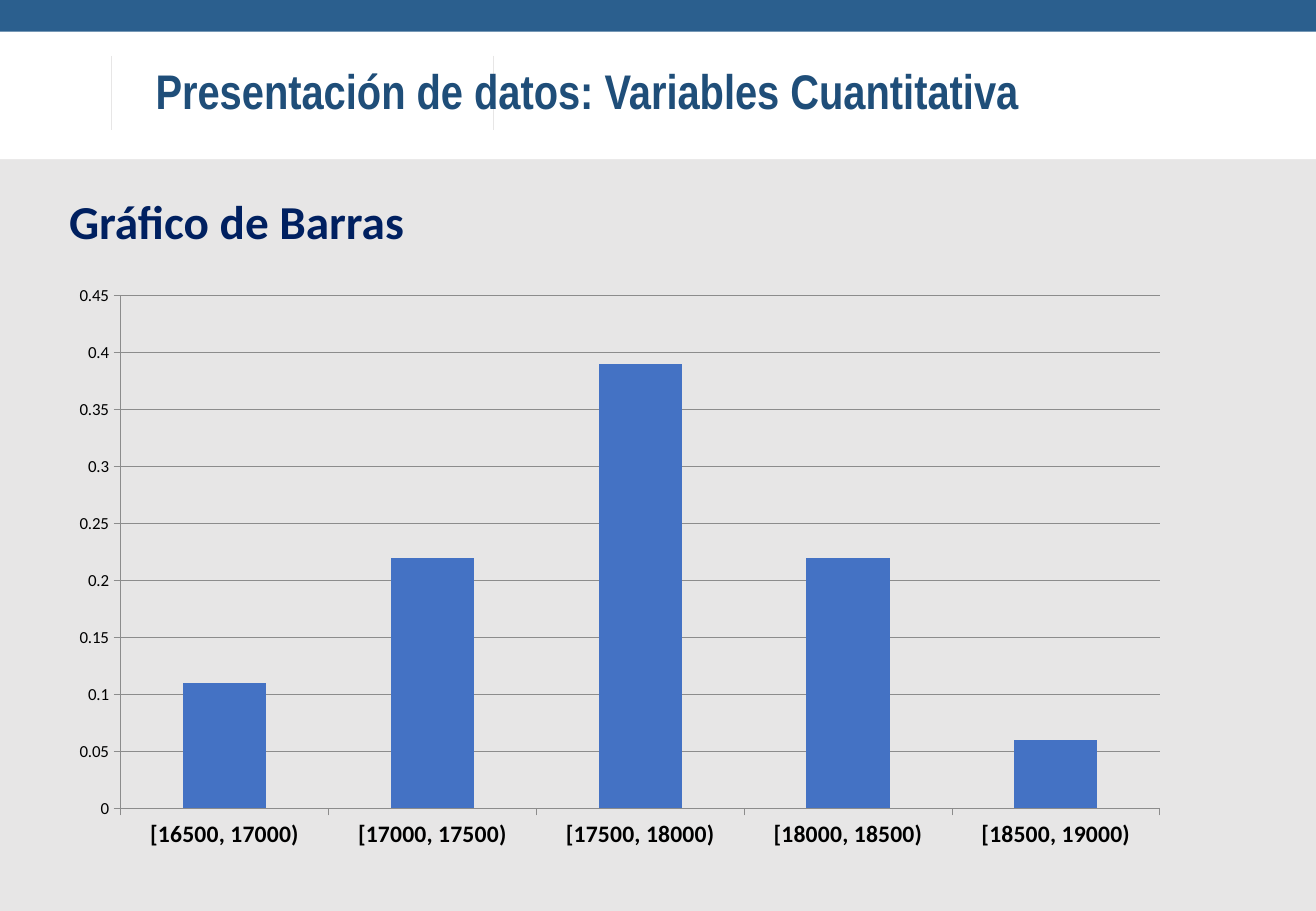
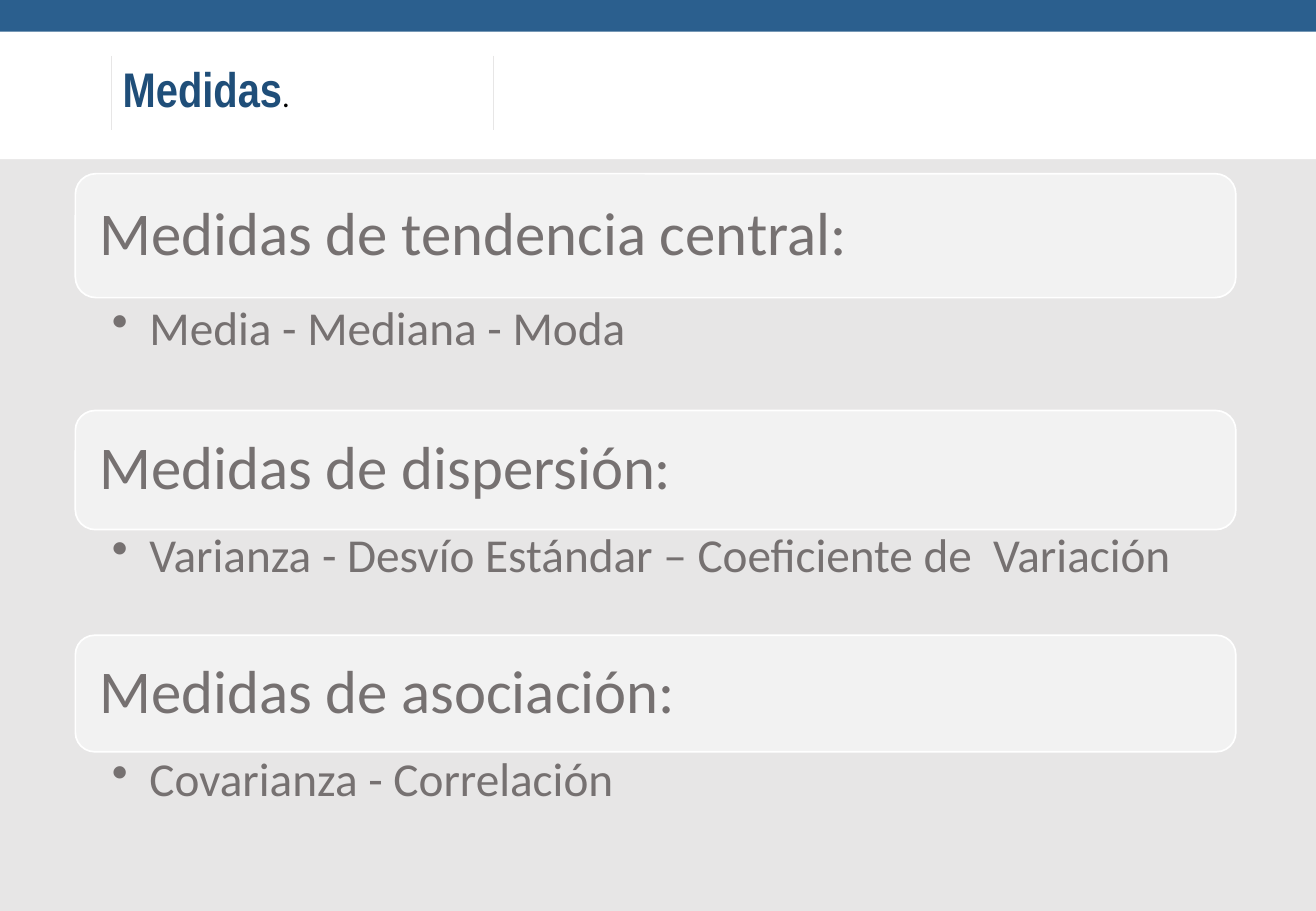
from dataclasses import dataclass

from lxml import etree
from pptx import Presentation
from pptx.chart.data import CategoryChartData
from pptx.dml.color import RGBColor
from pptx.enum.chart import XL_CHART_TYPE, XL_TICK_MARK
from pptx.enum.shapes import MSO_CONNECTOR, MSO_SHAPE
from pptx.enum.text import MSO_ANCHOR, MSO_AUTO_SIZE, PP_ALIGN
from pptx.oxml.ns import qn
from pptx.slide import Slide, SlideLayout
from pptx.text.text import Font, TextFrame
from pptx.util import Emu, Pt

COLUMNS = XL_CHART_TYPE.COLUMN_CLUSTERED
TICK_OUTSIDE = XL_TICK_MARK.OUTSIDE
STRAIGHT = MSO_CONNECTOR.STRAIGHT
RECTANGLE = MSO_SHAPE.RECTANGLE
ROUNDED = MSO_SHAPE.ROUNDED_RECTANGLE
TOP, MIDDLE = MSO_ANCHOR.TOP, MSO_ANCHOR.MIDDLE
NO_AUTOFIT = MSO_AUTO_SIZE.NONE
LEFT = PP_ALIGN.LEFT

EMU_PER_PX = 9144  # 100 px to the inch
SLIDE_WIDTH, SLIDE_HEIGHT = 1083, 750
TITLE_ONLY = 5


@dataclass(frozen=True)
class TextStyle:
    face: str
    size: float
    color: str
    bold: bool = False


@dataclass(frozen=True)
class Theme:
    blue: str = "2B5F8E"
    grey: str = "E7E6E6"
    white: str = "FFFFFF"
    panel: str = "F2F2F2"
    bar: str = "4472C4"
    axis: str = "8C8C8C"
    title: TextStyle = TextStyle("Arial Narrow", 28.8, "1F4E79", True)
    title_dot: TextStyle = TextStyle("Calibri", 18, "000000")
    subtitle: TextStyle = TextStyle("Calibri", 28, "002060", True)
    heading: TextStyle = TextStyle("Calibri", 36, "767171")
    bullet: TextStyle = TextStyle("Calibri", 28, "767171")
    value_label: TextStyle = TextStyle("Calibri", 10, "000000")
    category_label: TextStyle = TextStyle("Calibri", 14, "000000", True)


@dataclass(frozen=True)
class Box:
    left: int
    top: int
    width: int
    height: int

    def emu(self) -> tuple[Emu, Emu, Emu, Emu]:
        return px(self.left), px(self.top), px(self.width), px(self.height)


@dataclass(frozen=True)
class Band:
    box: Box
    color: str


@dataclass(frozen=True)
class Measure:
    heading: str
    examples: str
    top: int
    height: int
    examples_top: int


THEME = Theme()

BANDS = [
    Band(Box(0, 0, SLIDE_WIDTH, SLIDE_HEIGHT), THEME.blue),
    Band(Box(0, 129, SLIDE_WIDTH, 621), THEME.grey),
    Band(Box(0, 26, SLIDE_WIDTH, 105), THEME.white),
]
DIVIDERS_X = (92, 406)
DIVIDER_TOP, DIVIDER_BOTTOM = 46, 107

FREQUENCIES = {
    "[16500, 17000)": 0.11,
    "[17000, 17500)": 0.22,
    "[17500, 18000)": 0.39,
    "[18000, 18500)": 0.22,
    "[18500, 19000)": 0.06,
}

MEASURES_LEFT, MEASURES_WIDTH, EXAMPLES_HEIGHT = 62, 955, 89
MEASURES = [
    Measure("Medidas de tendencia central:", "Media - Mediana - Moda", 143, 102, 247),
    Measure("Medidas de dispersión:",
            "Varianza - Desvío Estándar – Coeficiente de  Variación", 338, 98, 434),
    Measure("Medidas de asociación:", "Covarianza - Correlación", 523, 96, 618),
]


def px(length: int) -> Emu:
    return Emu(length * EMU_PER_PX)


def rgb(color: str) -> RGBColor:
    return RGBColor.from_string(color)


def style_font(font: Font, style: TextStyle) -> None:
    font.name = style.face
    font.size = Pt(style.size)
    font.bold = style.bold
    font.color.rgb = rgb(style.color)


def set_margins(frame: TextFrame, left: int, top: int, right: int, bottom: int) -> None:
    frame.margin_left, frame.margin_top = px(left), px(top)
    frame.margin_right, frame.margin_bottom = px(right), px(bottom)


# Shared background and title

def move_background_to_layout(slide: Slide, layout: SlideLayout) -> None:
    """Draw the bands and dividers, then hand them to the layout."""
    background = []
    for band in BANDS:
        strip = slide.shapes.add_shape(RECTANGLE, *band.box.emu())
        strip.shadow.inherit = False
        strip.fill.solid()
        strip.fill.fore_color.rgb = rgb(band.color)
        strip.line.fill.background()
        background.append(strip)
    for x in DIVIDERS_X:
        divider = slide.shapes.add_connector(
            STRAIGHT, px(x), px(DIVIDER_TOP), px(x), px(DIVIDER_BOTTOM))
        divider.line.color.rgb = rgb(THEME.grey)
        divider.line.width = Pt(0.5)
        etree.SubElement(divider.element.spPr, qn("a:effectLst"))
        background.append(divider)

    for placeholder in list(layout.placeholders)[1:]:
        layout.shapes.element.remove(placeholder.element)
    for position, part in enumerate(background, start=2):
        layout.shapes.element.insert(position, part.element)


def set_title(slide: Slide, box: Box, text: str, line_spacing: float, dot: str = "") -> None:
    title = slide.shapes.title
    title.left, title.top, title.width, title.height = box.emu()
    frame = title.text_frame
    frame.auto_size = NO_AUTOFIT
    frame.word_wrap = not dot
    frame.vertical_anchor = MIDDLE
    paragraph = frame.paragraphs[0]
    paragraph.alignment = LEFT
    paragraph.line_spacing = line_spacing
    style_font(paragraph.font, THEME.title)
    paragraph.add_run().text = text
    if dot:
        dot_run = paragraph.add_run()
        dot_run.text = dot
        style_font(dot_run.font, THEME.title_dot)


def write_line(frame: TextFrame, text: str, style: TextStyle, bulleted: bool = False) -> None:
    frame.word_wrap = True
    paragraph = frame.paragraphs[0]
    paragraph.text = text
    paragraph.alignment = LEFT
    paragraph.line_spacing = 0.9
    if bulleted:
        paragraph.level = 1
        properties = paragraph._p.get_or_add_pPr()
        properties.set("marL", str(px(31)))
        properties.set("indent", str(px(-31)))
        etree.SubElement(properties, qn("a:buChar")).set("char", "•")
    style_font(paragraph.font, style)


# Slide parts

def add_frequency_chart(slide: Slide, box: Box) -> None:
    data = CategoryChartData()
    data.categories = list(FREQUENCIES)
    data.add_series("Series 1", list(FREQUENCIES.values()))
    chart = slide.shapes.add_chart(COLUMNS, *box.emu(), data).chart
    chart.has_legend = False
    chart.has_title = False
    style_font(chart.font, THEME.value_label)

    plot = chart.plots[0]
    plot.gap_width = 150
    plot.vary_by_categories = False
    bars = plot.series[0].format.fill
    bars.solid()
    bars.fore_color.rgb = rgb(THEME.bar)

    values, categories = chart.value_axis, chart.category_axis
    values.minimum_scale, values.maximum_scale, values.major_unit = 0, 0.45, 0.05
    values.has_major_gridlines = True
    for axis, style in ((values, THEME.value_label), (categories, THEME.category_label)):
        axis.major_tick_mark = TICK_OUTSIDE
        style_font(axis.tick_labels.font, style)
    for ruled in (values, categories, values.major_gridlines):
        ruled.format.line.color.rgb = rgb(THEME.axis)
        ruled.format.line.width = Pt(0.5)


def add_measure(slide: Slide, measure: Measure) -> None:
    heading_box = Box(MEASURES_LEFT, measure.top, MEASURES_WIDTH, measure.height)
    panel = slide.shapes.add_shape(ROUNDED, *heading_box.emu())
    panel.shadow.inherit = False
    panel.fill.solid()
    panel.fill.fore_color.rgb = rgb(THEME.panel)
    panel.line.color.rgb = rgb(THEME.white)
    panel.line.width = Pt(1)
    panel.text_frame.vertical_anchor = MIDDLE
    set_margins(panel.text_frame, 15, 15, 15, 15)
    write_line(panel.text_frame, measure.heading, THEME.heading)

    examples_box = Box(MEASURES_LEFT, measure.examples_top, MEASURES_WIDTH, EXAMPLES_HEIGHT)
    examples = slide.shapes.add_textbox(*examples_box.emu()).text_frame
    examples.vertical_anchor = TOP
    set_margins(examples, 30, 4, 22, 4)
    write_line(examples, measure.examples, THEME.bullet, bulleted=True)


# Slides

def build_chart_slide(slide: Slide) -> None:
    set_title(slide, Box(118, 49, 770, 57),
              "Presentación de datos: Variables Cuantitativa", 0.9)
    add_frequency_chart(slide, Box(47, 226, 926, 483))
    subtitle = slide.shapes.add_textbox(*Box(47, 159, 372, 126).emu())
    write_line(subtitle.text_frame, "Gráfico de Barras", THEME.subtitle)


def build_measures_slide(slide: Slide) -> None:
    set_title(slide, Box(91, 43, 160, 59), "Medidas", 1.0, dot=".")
    for measure in MEASURES:
        add_measure(slide, measure)


def main() -> None:
    deck = Presentation()
    deck.slide_width, deck.slide_height = px(SLIDE_WIDTH), px(SLIDE_HEIGHT)
    layout = deck.slide_layouts[TITLE_ONLY]
    chart_slide = deck.slides.add_slide(layout)
    move_background_to_layout(chart_slide, layout)
    build_chart_slide(chart_slide)
    build_measures_slide(deck.slides.add_slide(layout))
    deck.save("out.pptx")


if __name__ == "__main__":
    main()
